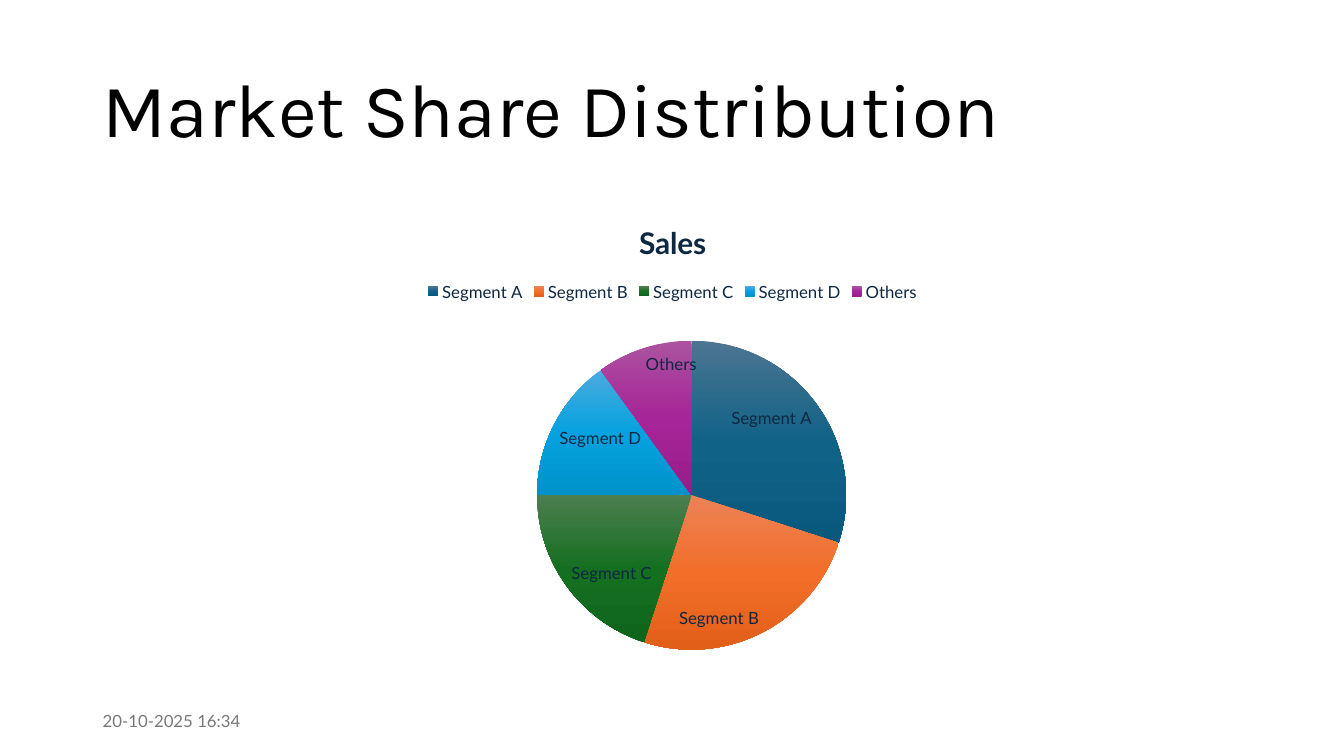
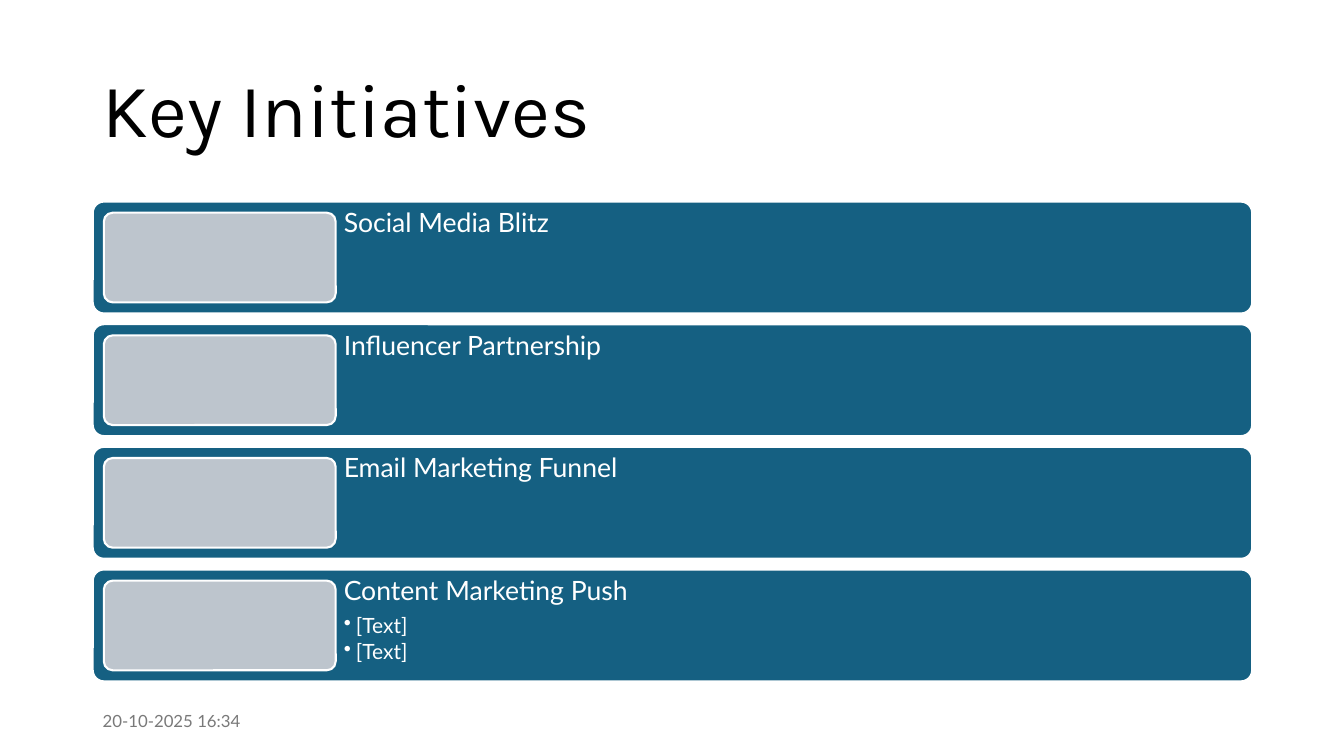
"""Builds a market share pie slide and a key initiatives slide."""
from copy import deepcopy

from pptx import Presentation
from pptx.chart.data import CategoryChartData
from pptx.dml.color import RGBColor as RGB
from pptx.enum.chart import XL_CHART_TYPE as CT, XL_LABEL_POSITION as LP, XL_LEGEND_POSITION as LG
from pptx.enum.shapes import MSO_SHAPE as SH
from pptx.enum.text import MSO_ANCHOR as ANC
from pptx.oxml import parse_xml
from pptx.oxml.ns import nsdecls, qn
from pptx.util import Inches, Pt

COLORS = {
    "title": "000000", "footer": "797979", "chart": "0E2841",
    "bar": "156082", "tile": "BDC5CD", "white": "FFFFFF",
}
FORMATS = {
    "title": ({"name": "Karla", "size": Pt(54)}, "title"),
    "footer": ({"name": "Lato", "size": Pt(12)}, "footer"),
    "item": ({"name": "Lato", "size": Pt(19)}, "white"),
    "bullet": ({"name": "Lato", "size": Pt(15)}, "white"),
    "chart": ({"name": "Lato", "size": Pt(12), "bold": False}, "chart"),
    "chart_title": ({"name": "Lato", "size": Pt(21.3), "bold": True}, "chart"),
}
PARAGRAPHS = {
    "title": {"line_spacing": 0.9},
    "footer": {},
    "item": {"line_spacing": 0.9, "space_after": Pt(6.65)},
    "bullet": {"line_spacing": 0.9, "space_after": Pt(2.25), "level": 1},
}
SEGMENTS = [
    ("Segment A", 30, ("4C7591", "106287", "09597D")),
    ("Segment B", 25, ("ED8257", "F26E29", "E25F1A")),
    ("Segment C", 20, ("4D7E50", "156F21", "0F661B")),
    ("Segment D", 15, ("4CAADF", "05A2DF", "0092CB")),
    ("Others", 10, ("AC53A0", "A62598", "991C8B")),
]
INITIATIVES = [
    ("Social Media Blitz", []),
    ("Influencer Partnership", []),
    ("Email Marketing Funnel", []),
    ("Content Marketing Push", ["[Text]", "[Text]"]),
]
LEFT, TOP, WIDTH, HEIGHT = 0.92, 2, 11.5, 4.76


def set_font(font, style):
    values, color = FORMATS[style]
    for key, value in values.items():
        setattr(font, key, value)
    font.color.rgb = RGB.from_string(COLORS[color])


def add_text(s, box, lines, anchor=ANC.MIDDLE, inset=None):
    tf = s.shapes.add_textbox(*map(Inches, box)).text_frame
    tf.word_wrap = True
    tf.vertical_anchor = anchor
    if inset is not None:
        for side in ("left", "top", "right", "bottom"):
            setattr(tf, f"margin_{side}", Inches(inset))
    for i, (text, style) in enumerate(lines):
        p = tf.add_paragraph() if i else tf.paragraphs[0]
        if style == "bullet":
            pPr = p._p.get_or_add_pPr()
            pPr.set("marL", str(Inches(0.12)))
            pPr.set("indent", str(-Inches(0.12)))
            pPr.append(parse_xml(f'<a:buChar {nsdecls("a")} char="•"/>'))
        for key, value in PARAGRAPHS[style].items():
            setattr(p, key, value)
        r = p.add_run()
        r.text = text
        set_font(r.font, style)


prs = Presentation()
prs.slide_width, prs.slide_height = Inches(13.33), Inches(7.5)

slides = []
for title in ("Market Share Distribution", "Key Initiatives"):
    s = prs.slides.add_slide(prs.slide_layouts[6])
    add_text(s, (LEFT, 0.4, WIDTH, 1.45), [(title, "title")])
    add_text(s, (LEFT, 6.95, 3, 0.4), [("20-10-2025 16:34", "footer")])
    slides.append(s)
share, initiatives = slides

data = CategoryChartData(number_format="0")
data.categories = [name for name, _, _ in SEGMENTS]
data.add_series("Sales", [value for _, value, _ in SEGMENTS])
chart = share.shapes.add_chart(
    CT.PIE, *map(Inches, (LEFT, TOP, WIDTH, HEIGHT)), data).chart
set_font(chart.font, "chart")
chart.has_title = True
p = chart.chart_title.text_frame.paragraphs[0]
r = p.add_run()
r.text = "Sales"
set_font(r.font, "chart_title")
chart.has_legend = True
chart.legend.position = LG.TOP
chart.legend.include_in_layout = False
set_font(chart.legend.font, "chart")

plot = chart.plots[0]
plot.vary_by_categories = True
series = plot.series[0]
labels = series.data_labels
set_font(labels.font, "chart")
label_format = {
    "number_format": "0%", "number_format_is_linked": False, "position": LP.INSIDE_END,
    "show_category_name": True, "show_value": False, "show_percentage": False,
}
for key, value in label_format.items():
    setattr(labels, key, value)

for i, (_, _, shades) in enumerate(SEGMENTS):
    fmt = series.points[i].format
    fmt.line.fill.background()
    fmt.fill.gradient()
    fmt.fill.gradient_angle = 270
    stops = list(chart._chartSpace.iter(qn("a:gsLst")))[-1]
    stops.insert(1, deepcopy(stops[0]))
    for stop, shade, position in zip(fmt.fill.gradient_stops, shades, (0, 0.5, 1)):
        stop.color.rgb = RGB.from_string(shade)
        stop.position = position

area = chart._chartSpace.find(".//" + qn("c:plotArea"))
for layout in area.findall(qn("c:layout")):
    area.remove(layout)
frame = "".join(f'<c:{tag} val="{value}"/>' for tag, value in (
    ("layoutTarget", "inner"), ("xMode", "edge"), ("yMode", "edge"),
    ("x", 0.383), ("y", 0.29), ("w", 0.267), ("h", 0.644)))
area.insert(0, parse_xml(
    f'<c:layout {nsdecls("c")}><c:manualLayout>{frame}</c:manualLayout></c:layout>'))

bar_h, pad, tile_w = 1.11, 0.11, 2.3
pitch = (HEIGHT - bar_h) / (len(INITIATIVES) - 1)
text_x = LEFT + pad + tile_w
for i, (name, bullets) in enumerate(INITIATIVES):
    y = TOP + i * pitch
    panels = [
        ("bar", (LEFT, y, WIDTH, bar_h)),
        ("tile", (LEFT + pad, y + pad, tile_w, bar_h - 2 * pad)),
    ]
    for color, box in panels:
        sp = initiatives.shapes.add_shape(SH.ROUNDED_RECTANGLE, *map(Inches, box))
        sp.adjustments[0] = 0.1
        sp.shadow.inherit = False
        sp.fill.solid()
        sp.fill.fore_color.rgb = RGB.from_string(COLORS[color])
        sp.line.color.rgb = RGB.from_string(COLORS["white"])
        sp.line.width = Pt(1.5)
    lines = [(name, "item")] + [(text, "bullet") for text in bullets]
    add_text(initiatives, (text_x, y, LEFT + WIDTH - text_x, bar_h), lines, ANC.TOP, 0.08)

prs.save("out.pptx")
